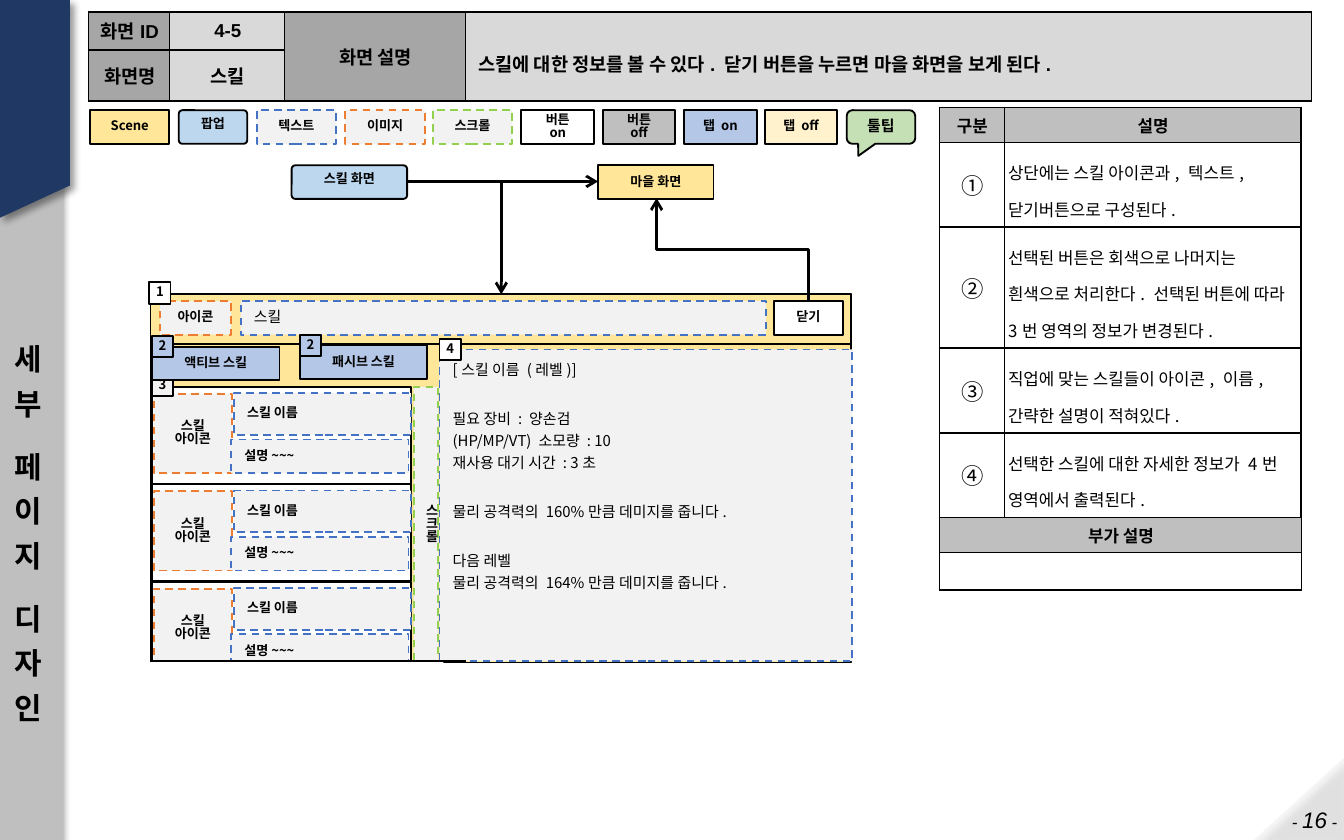
"""Build the skill screen design slide with its legend, flow, wireframe and tables."""
from lxml import etree
from pptx import Presentation
from pptx import util as u
from pptx.dml.color import RGBColor
from pptx.enum import dml, shapes, text
from pptx.oxml.ns import qn

BLACK = RGBColor(0x00, 0x00, 0x00)
WHITE = RGBColor(0xFF, 0xFF, 0xFF)
PALE = RGBColor(0xF2, 0xF2, 0xF2)
SILVER = RGBColor(0xD9, 0xD9, 0xD9)
GRAY = RGBColor(0xBF, 0xBF, 0xBF)
DARK_GRAY = RGBColor(0xA6, 0xA6, 0xA6)
NAVY = RGBColor(0x20, 0x38, 0x64)
SCENE = RGBColor(0xFF, 0xE6, 0x99)
POPUP = RGBColor(0xBD, 0xD7, 0xEE)
TAB_ON = RGBColor(0xB4, 0xC7, 0xE7)
TAB_OFF = RGBColor(0xFF, 0xF2, 0xCC)
TOOLTIP = RGBColor(0xC5, 0xE0, 0xB4)
BLUE = RGBColor(0x44, 0x72, 0xC4)
ORANGE = RGBColor(0xED, 0x7D, 0x31)
GREEN = RGBColor(0x92, 0xD0, 0x50)

KOREAN = "Noto Sans CJK KR"
LEFT, CENTER, RIGHT = text.PP_ALIGN.LEFT, text.PP_ALIGN.CENTER, text.PP_ALIGN.RIGHT
TOP, MIDDLE = text.MSO_ANCHOR.TOP, text.MSO_ANCHOR.MIDDLE
RECTANGLE = shapes.MSO_SHAPE.RECTANGLE
ROUNDED = shapes.MSO_SHAPE.ROUNDED_RECTANGLE

presentation = Presentation()
presentation.slide_width, presentation.slide_height = u.Inches(10), u.Inches(6.25)
COLUMN = presentation.slide_width // 1000
ROW = presentation.slide_height // 625
slide = presentation.slides.add_slide(presentation.slide_layouts[6])


def write(frame, lines, size=7, bold=True, font=KOREAN, align=CENTER, spacing=0.83, gaps=()):
    """Fill a text frame, adding a gap before the lines whose index is in gaps."""
    for index, line in enumerate(lines):
        paragraph = frame.paragraphs[0] if index == 0 else frame.add_paragraph()
        layout = {"alignment": align, "line_spacing": spacing}
        if index in gaps:
            layout["space_before"] = u.Pt(gaps[index])
        for name, value in layout.items():
            setattr(paragraph, name, value)
        paragraph._p.get_or_add_endParaRPr().set("sz", str(size * 100))
        if line:
            run = paragraph.add_run()
            run.text = line
            for name, value in {"size": u.Pt(size), "bold": bold, "name": font}.items():
                setattr(run.font, name, value)
            run.font.color.rgb = BLACK
            etree.SubElement(run.font._element, qn("a:ea"), typeface=KOREAN)


def box(place, fill, line=None, lines=(), kind=RECTANGLE, anchor=MIDDLE, margins=(10, 10), **style):
    """Draw a filled shape on the grid; coloured outlines are dashed."""
    left, top, width, height = place
    shape = slide.shapes.add_shape(
        kind, int(left * COLUMN), int(top * ROW), int(width * COLUMN), int(height * ROW))
    shape.shadow.inherit = False
    shape.fill.solid()
    shape.fill.fore_color.rgb = fill
    if line is None:
        shape.line.fill.background()
    else:
        shape.line.color.rgb = line
        shape.line.width = u.Pt(1)
        if line != BLACK:
            shape.line.dash_style = dml.MSO_LINE.DASH
    if kind == ROUNDED:
        shape.adjustments[0] = 0.11
    frame_format = {"word_wrap": True, "vertical_anchor": anchor,
                    "margin_left": margins[0] * COLUMN, "margin_right": margins[1] * COLUMN}
    for name, value in frame_format.items():
        setattr(shape.text_frame, name, value)
    write(shape.text_frame, lines, **style)
    return shape


sidebar = box((0, 0, 47, 625), GRAY)
corner = box((936, 561, 61, 67), PALE, kind=shapes.MSO_SHAPE.RIGHT_TRIANGLE)
corner.rotation = 270
corner_color = corner.fill._xPr.find(qn("a:solidFill"))[0]
etree.SubElement(corner_color, qn("a:alpha"), val="70000")
builder = slide.shapes.build_freeform(0, 0, scale=1.0)
builder.add_line_segments([(0, 162 * ROW), (52 * COLUMN, 138 * ROW), (52 * COLUMN, 0)], close=True)
ribbon = builder.convert_to_shape()
ribbon.shadow.inherit = False
ribbon.fill.solid()
ribbon.fill.fore_color.rgb = NAVY
ribbon.line.fill.background()
for shape, degrees in ((sidebar, 90), (corner, 45), (ribbon, 45)):
    effects = shape._element.spPr.find(qn("a:effectLst"))
    shadow = etree.SubElement(effects, qn("a:outerShdw"), blurRad=str(u.Pt(4)), dist=str(u.Pt(3)),
                              dir=str(degrees * 60000), algn="t", rotWithShape="0")
    shadow_color = etree.SubElement(shadow, qn("a:srgbClr"), val="000000")
    etree.SubElement(shadow_color, qn("a:alpha"), val="40000")

section = slide.shapes.add_textbox(COLUMN, 162 * ROW, 46 * COLUMN, 463 * ROW).text_frame
section.word_wrap, section.vertical_anchor = True, MIDDLE
write(section, ["세부", "페이지", "디자인"], 16, font="Arial", align=LEFT, spacing=1.24,
      gaps={1: 10, 2: 10})
number = slide.shapes.add_textbox(894 * COLUMN, 596 * ROW, 106 * COLUMN, 20 * ROW).text_frame
number.word_wrap, number.margin_right, number.margin_top = True, 5 * COLUMN, 4 * ROW
number.paragraphs[0].alignment = RIGHT
for part, size in (("- ", 9), ("16", 12), (" -", 9)):
    run = number.paragraphs[0].add_run()
    run.text = part
    for name, value in {"size": u.Pt(size), "italic": True, "name": "Arial"}.items():
        setattr(run.font, name, value)
    run.font.color.rgb = BLACK

legend = [
    ("Scene", 67, 59, SCENE, BLACK), ("텍스트", 191, 59, PALE, BLUE),
    ("이미지", 257, 59, PALE, ORANGE), ("스크롤", 322, 59, PALE, GREEN),
    ("버튼 on", 388, 54, WHITE, BLACK), ("버튼 off", 449, 53, GRAY, BLACK),
    ("탭 on", 509, 54, TAB_ON, BLACK), ("탭 off", 569, 54, TAB_OFF, BLACK)]
for label, left, width, fill, line in legend:
    box((left, 82, width, 25), fill, line, [label])
box((133, 82, 51, 25), POPUP, BLACK, ["팝업"], ROUNDED, TOP)
tooltip = box((630, 82, 51, 25), TOOLTIP, BLACK, ["툴팁"],
              shapes.MSO_SHAPE.ROUNDED_RECTANGULAR_CALLOUT, size=8)
for index, value in enumerate((-0.33, 0.86, 0.17)):
    tooltip.adjustments[index] = value

header_cells = [
    [("화면ID", DARK_GRAY), ("4-5", SILVER), ("화면 설명", DARK_GRAY),
     ("스킬에 대한 정보를 볼 수 있다. 닫기 버튼을 누르면 마을 화면을 보게 된다.", SILVER)],
    [("화면명", DARK_GRAY), ("스킬", SILVER), ("", DARK_GRAY), ("", SILVER)]]
notes = ["상단에는 스킬 아이콘과, 텍스트, 닫기버튼으로 구성된다.",
         "선택된 버튼은 회색으로 나머지는 흰색으로 처리한다. 선택된 버튼에 따라 3번 영역의 정보가 변경된다.",
         "직업에 맞는 스킬들이 아이콘, 이름, 간략한 설명이 적혀있다.",
         "선택한 스킬에 대한 자세한 정보가 4번 영역에서 출력된다."]
note_cells = [[("구분", GRAY), ("설명", GRAY)],
              *[[(mark, WHITE), (note, WHITE)] for mark, note in zip("①②③④", notes)],
              [("부가 설명", GRAY), ("", GRAY)], [("", WHITE), ("", WHITE)]]
tables = [
    (header_cells, 66, 9, (60, 86, 134, 630), (28, 38), 10, "Arial",
     [(0, 2, 1, 2), (0, 3, 1, 3)]),
    (note_cells, 699, 80, (48, 221), (26, 63, 90, 63, 63, 26, 28), 9, KOREAN,
     [(5, 0, 5, 1), (6, 0, 6, 1)])]
for cells, left, top, widths, heights, size, font, merges in tables:
    table = slide.shapes.add_table(len(heights), len(widths), left * COLUMN, top * ROW,
                                   sum(widths) * COLUMN, sum(heights) * ROW).table
    table.first_row = table.horz_banding = False
    for column, width in zip(table.columns, widths):
        column.width = width * COLUMN
    for row, height in zip(table.rows, heights):
        row.height = height * ROW
    for row_index, row_cells in enumerate(cells):
        for column_index, (label, fill) in enumerate(row_cells):
            cell = table.cell(row_index, column_index)
            long_text = len(label) > 10
            margin = (10 if font == "Arial" else 3) if long_text else 4
            cell_format = {"vertical_anchor": MIDDLE, "margin_left": margin * COLUMN,
                           "margin_right": 3 * COLUMN, "margin_top": 4 * ROW,
                           "margin_bottom": 4 * ROW}
            for name, value in cell_format.items():
                setattr(cell, name, value)
            write(cell.text_frame, [label], 12 if label and label in "①②③④" else size,
                  fill != WHITE, font, LEFT if long_text else CENTER, 1.5 if long_text else 1.0)
            borders = {"a:lnL": 0.5 if column_index else 1,
                       "a:lnR": 0.5 if column_index < len(widths) - 1 else 1,
                       "a:lnT": 1, "a:lnB": 1}
            for tag, points in borders.items():
                border = etree.SubElement(cell._tc.get_or_add_tcPr(), qn(tag), w=str(u.Pt(points)))
                border_fill = etree.SubElement(border, qn("a:solidFill"))
                etree.SubElement(border_fill, qn("a:srgbClr"), val="000000")
            cell.fill.solid()
            cell.fill.fore_color.rgb = fill
    for first_row, first_column, last_row, last_column in merges:
        table.cell(first_row, first_column).merge(table.cell(last_row, last_column))

box((112, 219, 521, 274), SCENE, BLACK)
box((445, 123, 86, 25), SCENE, BLACK, ["마을 화면"])
box((217, 123, 86, 25), POPUP, BLACK, ["스킬 화면"], ROUNDED, TOP)
box((112, 219, 521, 37), SCENE, BLACK)
box((179, 224, 391, 25), PALE, BLUE, ["스킬"], size=8, bold=False, align=LEFT)
box((119, 224, 53, 25), PALE, ORANGE, ["아이콘"])
box((576, 224, 51, 25), WHITE, BLACK, ["닫기"])
details = ["[스킬 이름 (레벨)]", "필요 장비 : 양손검", "(HP/MP/VT) 소모량 : 10",
           "재사용 대기 시간 : 3초", "물리 공격력의 160%만큼 데미지를 줍니다.",
           "다음 레벨", "물리 공격력의 164%만큼 데미지를 줍니다."]
box((327, 260, 307, 232), PALE, BLUE, details, anchor=TOP, size=8, bold=False, align=LEFT,
    spacing=1.24, gaps={1: 14.4, 4: 14.4, 5: 14.4})
for index in range(3):
    top = 288 + 72.5 * index
    box((113, top, 193, 72), WHITE, BLACK)
    box((114.5, top + 5, 58, 59), PALE, ORANGE, ["스킬", "아이콘"])
    box((174, top + 4.5, 132, 31), PALE, BLUE, ["스킬 이름"], align=LEFT)
    box((172, top + 39, 132, 25), PALE, BLUE, ["설명~~~"], align=LEFT)
box((108, 492, 222, 42), WHITE)
box((308, 288, 18, 204), PALE, GREEN, ["스크롤"], margins=(9, 0))
badges = [("1", 111, 210, WHITE), ("4", 327, 252, WHITE), ("3", 113, 279, PALE),
          ("2", 113, 250, TAB_ON), ("2", 223, 249, TAB_ON)]
for label, left, top in (("액티브 스킬", 113, 258), ("패시브 스킬", 223, 257)):
    if left == 113:
        badge = badges.pop(2)
        box((*badge[1:3], 16, 16), badge[3], BLACK, [badge[0]], margins=(0, 0))
    box((left, top, 95, 25), TAB_ON, BLACK, [label])
for label, left, top, fill in badges:
    box((left, top, 16, 16), fill, BLACK, [label], margins=(0, 0))

STRAIGHT, ELBOW = shapes.MSO_CONNECTOR.STRAIGHT, shapes.MSO_CONNECTOR.ELBOW
connectors = [(STRAIGHT, 303, 135, 445, 135, 1.5), (STRAIGHT, 373, 135, 373, 219, 1.5),
              (ELBOW, 507, 242, 583, 129, 1.5), (STRAIGHT, 112, 492, 347, 492, 1)]
for kind, left, top, right, bottom, points in connectors:
    connector = slide.shapes.add_connector(
        kind, left * COLUMN, top * ROW, right * COLUMN, bottom * ROW)
    connector.line.color.rgb = BLACK
    connector.line.width = u.Pt(points)
    if points > 1:
        etree.SubElement(connector.line._get_or_add_ln(), qn("a:tailEnd"), type="arrow")
    if kind == ELBOW:
        connector._element.spPr.find(qn("a:xfrm")).set("rot", str(270 * 60000))
    etree.SubElement(connector._element.spPr, qn("a:effectLst"))

presentation.save("out.pptx")
